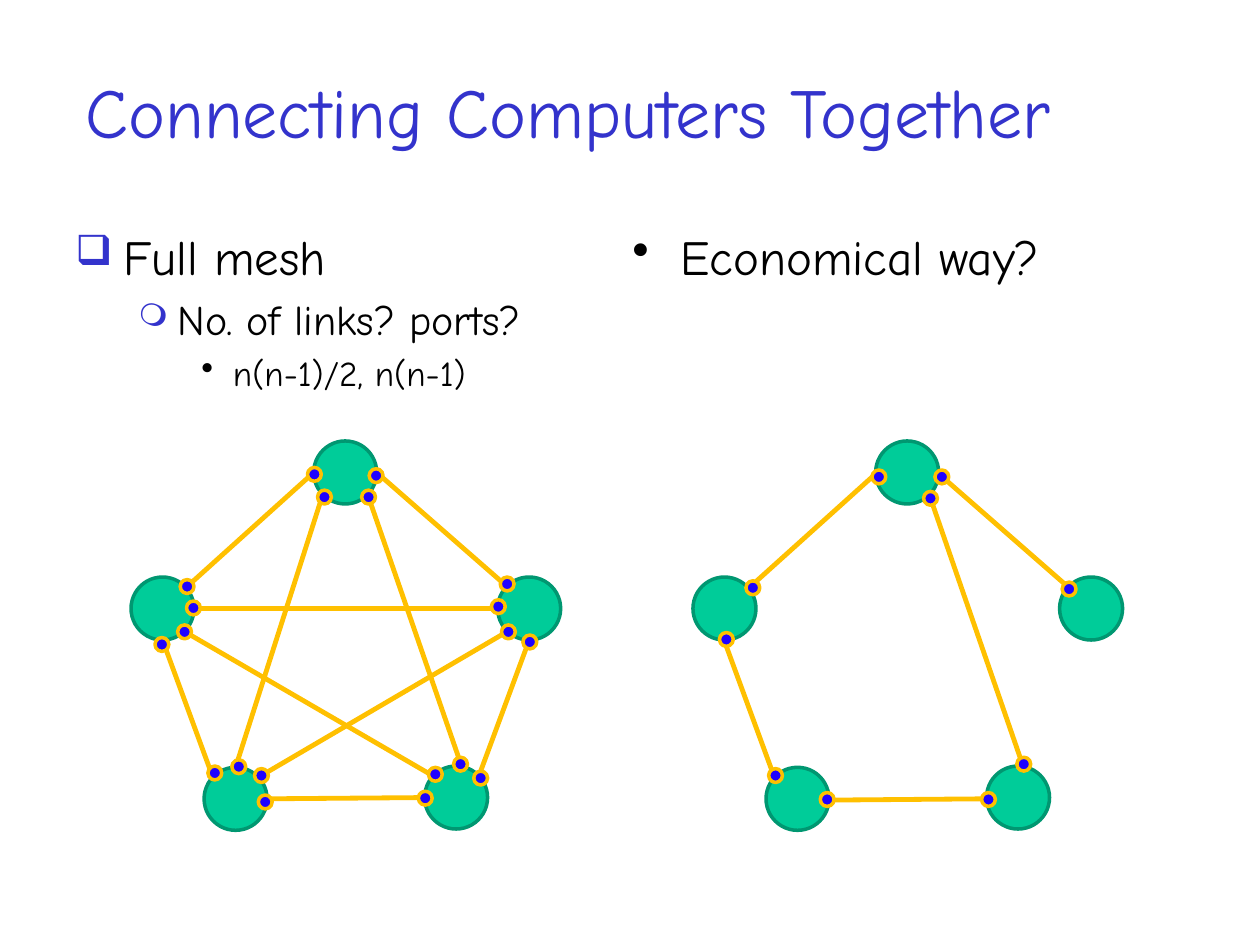
"""Build a slide comparing a full mesh of computers with an economical network."""
from lxml import etree
from pptx import Presentation
from pptx.dml.color import RGBColor
from pptx.enum.shapes import MSO_CONNECTOR, MSO_SHAPE
from pptx.enum.text import MSO_ANCHOR, PP_ALIGN
from pptx.oxml.ns import qn
from pptx.util import Inches, Pt

OVAL = MSO_SHAPE.OVAL
STRAIGHT = MSO_CONNECTOR.STRAIGHT
MIDDLE, LEFT = MSO_ANCHOR.MIDDLE, PP_ALIGN.LEFT
FONT = "Comic Neue"
COLORS = {
    "title": "3333CC", "text": "000000", "computer": "00CC99",
    "computer_edge": "009771", "port": "1F01FF", "link": "FFC000",
}
COMPUTER_SIZE, PORT_SIZE = 0.5, 0.11
NETWORK_SHIFT = 4.46


def add_text(para, text, size, color):
    span = para.add_run()
    span.text = text
    span.font.name = FONT
    span.font.size = Pt(size)
    span.font.color.rgb = RGBColor.from_string(COLORS[color])


def add_circle(shapes, left, top, size, fill, edge):
    circle = shapes.add_shape(OVAL, Inches(left), Inches(top), Inches(size), Inches(size))
    circle.shadow.inherit = False
    circle.fill.solid()
    circle.fill.fore_color.rgb = RGBColor.from_string(COLORS[fill])
    circle.line.color.rgb = RGBColor.from_string(COLORS[edge])
    circle.line.width = Pt(2)


deck = Presentation()
deck.slide_width, deck.slide_height = Inches(10), Inches(7.5)
page = deck.slides.add_slide(deck.slide_layouts[5])

title = page.shapes.title
title.left, title.top = Inches(0.58), Inches(0.25)
title.width, title.height = Inches(8.5), Inches(1.25)
title.text_frame.vertical_anchor = MIDDLE
title_para = title.text_frame.paragraphs[0]
title_para.alignment = LEFT
add_text(title_para, "Connecting Computers Together", 40, "title")

columns = [
    ((0.5, 1.75, 4.75, 1.6), [
        ("Full mesh", 28, 0.38, 0.38, "❑", "title", 85),
        ("No. of links? ports?", 24, 0.81, 0.31, "❍", "title", 75),
        ("n(n-1)/2, n(n-1)", 20, 1.25, 0.25, "•", "text", 100),
    ]),
    ((4.92, 1.75, 4.17, 1.6), [
        ("Economical way?", 28, 0.38, 0.38, "•", "text", 100),
    ]),
]
for place, lines in columns:
    box = page.shapes.add_textbox(*[Inches(length) for length in place])
    frame = box.text_frame
    frame.word_wrap = True
    for index, (text, size, margin, hanging, bullet, color, percent) in enumerate(lines):
        para = frame.paragraphs[0] if index == 0 else frame.add_paragraph()
        add_text(para, text, size, "text")
        props = para._p.get_or_add_pPr()
        props.set("marL", str(Inches(margin)))
        props.set("indent", str(-Inches(hanging)))
        spacing = etree.SubElement(props, qn("a:spcBef"))
        etree.SubElement(spacing, qn("a:spcPct"), val="20000")
        bullet_color = etree.SubElement(props, qn("a:buClr"))
        etree.SubElement(bullet_color, qn("a:srgbClr"), val=COLORS[color])
        etree.SubElement(props, qn("a:buSzPct"), val=str(percent * 1000))
        etree.SubElement(props, qn("a:buChar"), char=bullet)

computers = [(1.04, 4.58), (2.49, 3.5), (3.37, 6.08), (1.62, 6.09), (3.95, 4.58)]
economical_links = [
    (1.48, 4.66, 2.49, 3.75), (1.29, 5.08, 1.69, 6.17), (2.99, 3.75, 4.03, 4.66),
    (2.92, 3.93, 3.66, 6.07), (2.12, 6.34, 3.37, 6.33),
]
mesh_links = economical_links + [
    (2.56, 3.93, 1.86, 6.12), (4.2, 5.08, 3.8, 6.16), (2.05, 6.17, 4.03, 5.01),
    (1.46, 5.01, 3.44, 6.16), (1.54, 4.83, 3.95, 4.83),
]
mesh_ports = [
    (3.98, 4.96), (1.43, 4.6), (1.48, 4.77), (1.41, 4.96), (1.23, 5.06),
    (1.65, 6.08), (1.84, 6.03), (2.02, 6.1), (2.05, 6.31), (3.32, 6.28),
    (3.76, 6.12), (3.6, 6.01), (3.4, 6.09), (2.44, 3.71), (2.52, 3.89),
    (2.93, 3.72), (2.87, 3.89), (3.97, 4.58), (3.9, 4.76), (4.15, 5.04),
]
economical_ports = [
    (1.46, 4.61), (2.46, 3.73), (2.96, 3.73), (2.87, 3.9), (3.97, 4.62),
    (3.61, 6.01), (3.33, 6.29), (2.05, 6.29), (1.64, 6.1), (1.25, 5.02),
]
networks = [
    (0, 0, mesh_links, mesh_ports),
    (NETWORK_SHIFT, 0.01, economical_links, economical_ports),
]
for shift, link_drop, links, ports in networks:
    shapes = page.shapes.add_group_shape().shapes
    for left, top in computers:
        add_circle(shapes, left + shift, top, COMPUTER_SIZE, "computer", "computer_edge")
    for x1, y1, x2, y2 in links:
        link = shapes.add_connector(
            STRAIGHT, Inches(x1 + shift), Inches(y1 + link_drop),
            Inches(x2 + shift), Inches(y2 + link_drop))
        link.line.color.rgb = RGBColor.from_string(COLORS["link"])
        link.line.width = Pt(2.75)
        etree.SubElement(link._element.spPr, qn("a:effectLst"))
    for left, top in ports:
        add_circle(shapes, left + shift, top, PORT_SIZE, "port", "link")

deck.save("out.pptx")
